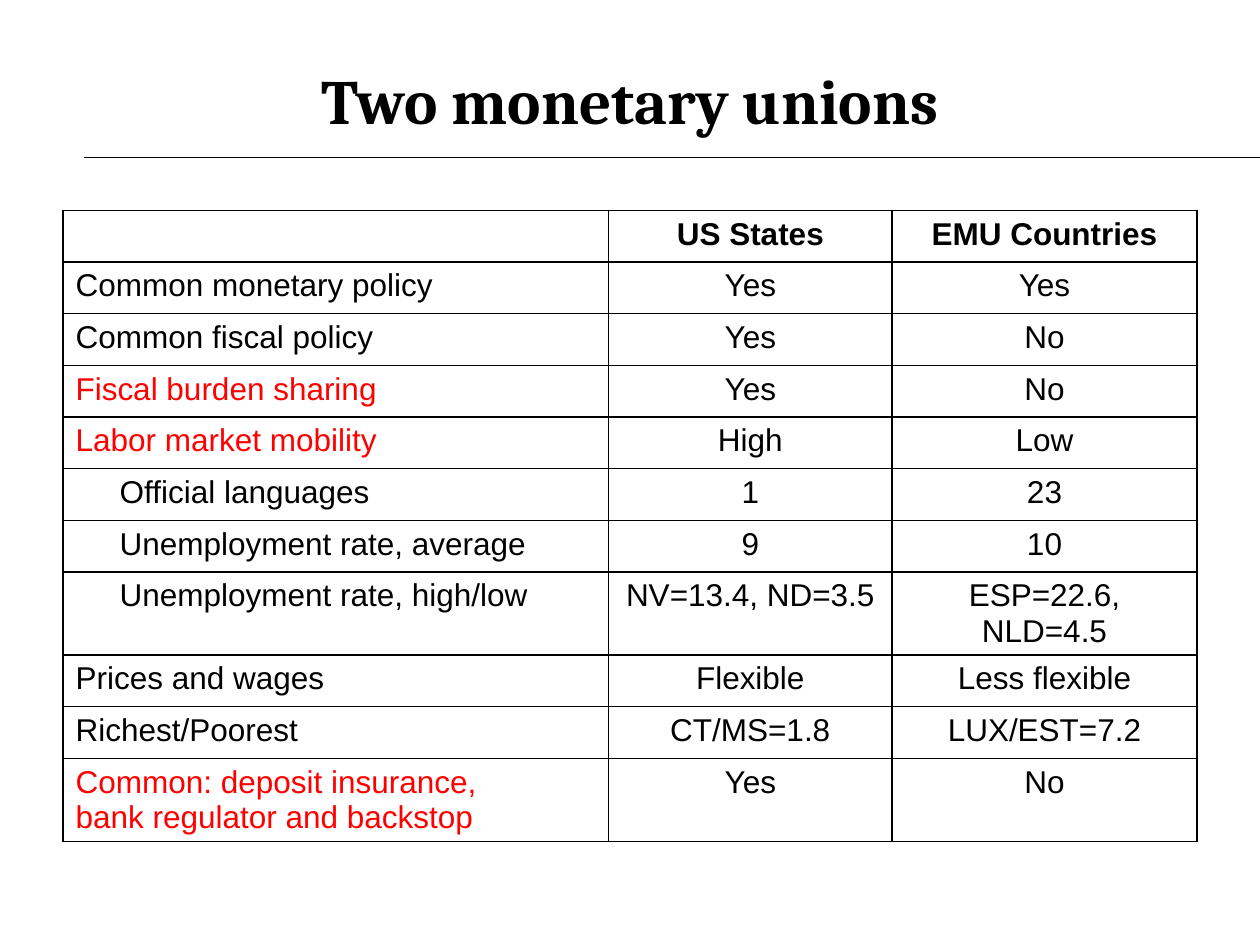
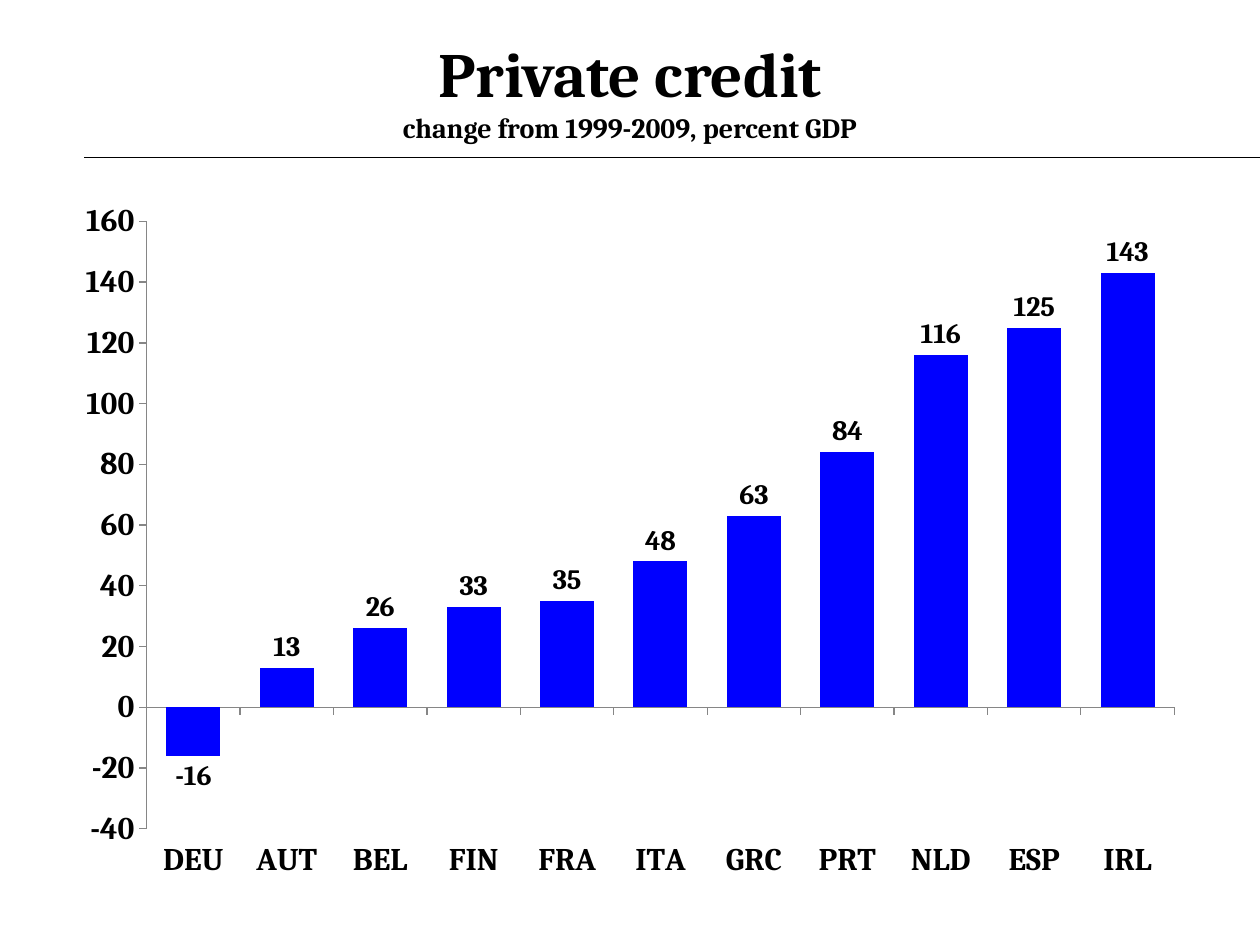
"""Build two slides comparing monetary unions and private credit growth."""
from typing import NamedTuple

from lxml.etree import SubElement
from pptx import Presentation
from pptx.chart.data import CategoryChartData
from pptx.dml.color import RGBColor
from pptx.enum.chart import XL_CHART_TYPE as ChartType
from pptx.enum.chart import XL_LABEL_POSITION as LabelPos
from pptx.enum.chart import XL_TICK_LABEL_POSITION as TickLabelPos
from pptx.enum.chart import XL_TICK_MARK as TickMark
from pptx.enum.shapes import MSO_CONNECTOR as Connector
from pptx.enum.text import MSO_ANCHOR as Anchor
from pptx.enum.text import MSO_AUTO_SIZE as AutoSize
from pptx.enum.text import PP_ALIGN as Align
from pptx.oxml import parse_xml
from pptx.oxml.ns import nsdecls, qn
from pptx.util import Inches, Pt

BLACK = RGBColor(0x00, 0x00, 0x00)
RED = RGBColor(0xFF, 0x00, 0x00)
BLUE = RGBColor(0x00, 0x00, 0xFF)
GREY = RGBColor(0x86, 0x86, 0x86)
HEAD_FONT = "Cambria"
BODY_FONT = "Arial"
TITLE_ONLY = 5
LEFT, WIDTH = Inches(0.5), Inches(9)
CELL_MARGIN = Inches(0.1)
SUB_INDENT = Inches(0.35)


class Row(NamedTuple):
    """One line of the comparison table."""

    label: str
    us: str
    emu: str
    color: RGBColor = BLACK
    indented: bool = False


ROWS = [
    Row("", "US States", "EMU Countries"),
    Row("Common monetary policy", "Yes", "Yes"),
    Row("Common fiscal policy", "Yes", "No"),
    Row("Fiscal burden sharing", "Yes", "No", RED),
    Row("Labor market mobility", "High", "Low", RED),
    Row("Official languages", "1", "23", indented=True),
    Row("Unemployment rate, average", "9", "10", indented=True),
    Row("Unemployment rate, high/low", "NV=13.4, ND=3.5", "ESP=22.6, NLD=4.5", indented=True),
    Row("Prices and wages", "Flexible", "Less flexible"),
    Row("Richest/Poorest", "CT/MS=1.8", "LUX/EST=7.2"),
    Row("Common: deposit insurance,\nbank regulator and backstop", "Yes", "No", RED),
]
COLUMN_WIDTHS = [Inches(4.33), Inches(2.25), Inches(2.42)]
ROW_HEIGHT = Inches(0.41)

CREDIT_CHANGE = {
    "DEU": -16, "AUT": 13, "BEL": 26, "FIN": 33, "FRA": 35, "ITA": 48,
    "GRC": 63, "PRT": 84, "NLD": 116, "ESP": 125, "IRL": 143,
}


def set_font(font, name: str, size: int, bold: bool, color: RGBColor = BLACK) -> None:
    """Apply the typeface, size, weight and colour."""
    font.name, font.size, font.bold = name, Pt(size), bold
    font.color.rgb = color


def add_titled_slide(prs, title: str, top: float, subtitle: str = ""):
    """Add a slide with its title and the rule below it."""
    s = prs.slides.add_slide(prs.slide_layouts[TITLE_ONLY])
    sp = s.shapes.title
    sp.left, sp.top, sp.width, sp.height = LEFT, Inches(top), WIDTH, Inches(0.92)
    tf = sp.text_frame
    tf.word_wrap, tf.auto_size, tf.vertical_anchor = True, AutoSize.NONE, Anchor.MIDDLE
    p = tf.paragraphs[0]
    p.alignment = Align.CENTER
    r = p.add_run()
    r.text = title
    set_font(r.font, HEAD_FONT, 36, True)
    if subtitle:
        p.add_line_break()
        r = p.add_run()
        r.text = subtitle
        set_font(r.font, HEAD_FONT, 16, True)

    rule = s.shapes.add_connector(
        Connector.STRAIGHT, Inches(0.67), Inches(1.25), prs.slide_width, Inches(1.25))
    rule.line.color.rgb = BLACK
    rule.line.width = Pt(0.75)
    SubElement(rule._element.spPr, qn("a:effectLst"))
    return s


def set_borders(cell) -> None:
    """Draw a thin black line on each side of a cell."""
    tc_pr = cell._tc.get_or_add_tcPr()
    for i, side in enumerate(("lnL", "lnR", "lnT", "lnB")):
        tc_pr.insert(i, parse_xml(
            f'<a:{side} {nsdecls("a")} w="{Pt(1)}"><a:solidFill>'
            f'<a:srgbClr val="{BLACK}"/></a:solidFill></a:{side}>'))


def fill_cell(cell, text: str, align: Align, bold: bool, color: RGBColor) -> None:
    """Write and style one table cell."""
    cell.text = text
    cell.fill.background()
    set_borders(cell)
    for p in cell.text_frame.paragraphs:
        p.alignment = align
        set_font(p.font, BODY_FONT, 18, bold, color)


def add_union_table(s) -> None:
    """Add the table comparing the two unions."""
    table = s.shapes.add_table(
        len(ROWS), len(COLUMN_WIDTHS), LEFT, Inches(1.67), WIDTH, ROW_HEIGHT * len(ROWS)).table
    table.first_row = table.horz_banding = False
    for column, width in zip(table.columns, COLUMN_WIDTHS):
        column.width = width
    for i, row in enumerate(ROWS):
        table.rows[i].height = ROW_HEIGHT
        label, us, emu = table.rows[i].cells
        is_header = i == 0
        fill_cell(label, row.label, Align.LEFT, is_header, row.color)
        fill_cell(us, row.us, Align.CENTER, is_header, BLACK)
        fill_cell(emu, row.emu, Align.CENTER, is_header, BLACK)
        if row.indented:
            label.margin_left = CELL_MARGIN + SUB_INDENT


def add_credit_chart(s) -> None:
    """Add the column chart of the change in private credit."""
    data = CategoryChartData()
    data.categories = list(CREDIT_CHANGE)
    data.add_series("Series 1", list(CREDIT_CHANGE.values()))
    chart = s.shapes.add_chart(
        ChartType.COLUMN_CLUSTERED, LEFT, Inches(1.5), WIDTH, Inches(5.58), data).chart
    chart.has_legend = chart.has_title = False
    set_font(chart.font, HEAD_FONT, 18, True)

    for axis in (chart.category_axis, chart.value_axis):
        axis.has_major_gridlines = False
        axis.major_tick_mark, axis.minor_tick_mark = TickMark.OUTSIDE, TickMark.NONE
        axis.format.line.color.rgb = GREY
        axis.format.line.width = Pt(0.75)
        set_font(axis.tick_labels.font, HEAD_FONT, 18, True)
    chart.category_axis.tick_label_position = TickLabelPos.LOW
    values = chart.value_axis
    values.minimum_scale, values.maximum_scale, values.major_unit = -40, 160, 20

    plot = chart.plots[0]
    plot.gap_width, plot.vary_by_categories = 73, False
    series = plot.series[0]
    series.invert_if_negative = False
    series.format.fill.solid()
    series.format.fill.fore_color.rgb = BLUE
    labels = series.data_labels
    labels.show_value, labels.position = True, LabelPos.OUTSIDE_END
    set_font(labels.font, HEAD_FONT, 16, True)


def main() -> None:
    """Build and save the presentation."""
    prs = Presentation()
    prs.slide_width, prs.slide_height = Inches(10), Inches(7.5)
    add_union_table(add_titled_slide(prs, "Two monetary unions", 0.33))
    add_credit_chart(add_titled_slide(
        prs, "Private credit", 0.25, "change from 1999-2009, percent GDP"))
    prs.save("out.pptx")


if __name__ == "__main__":
    main()
